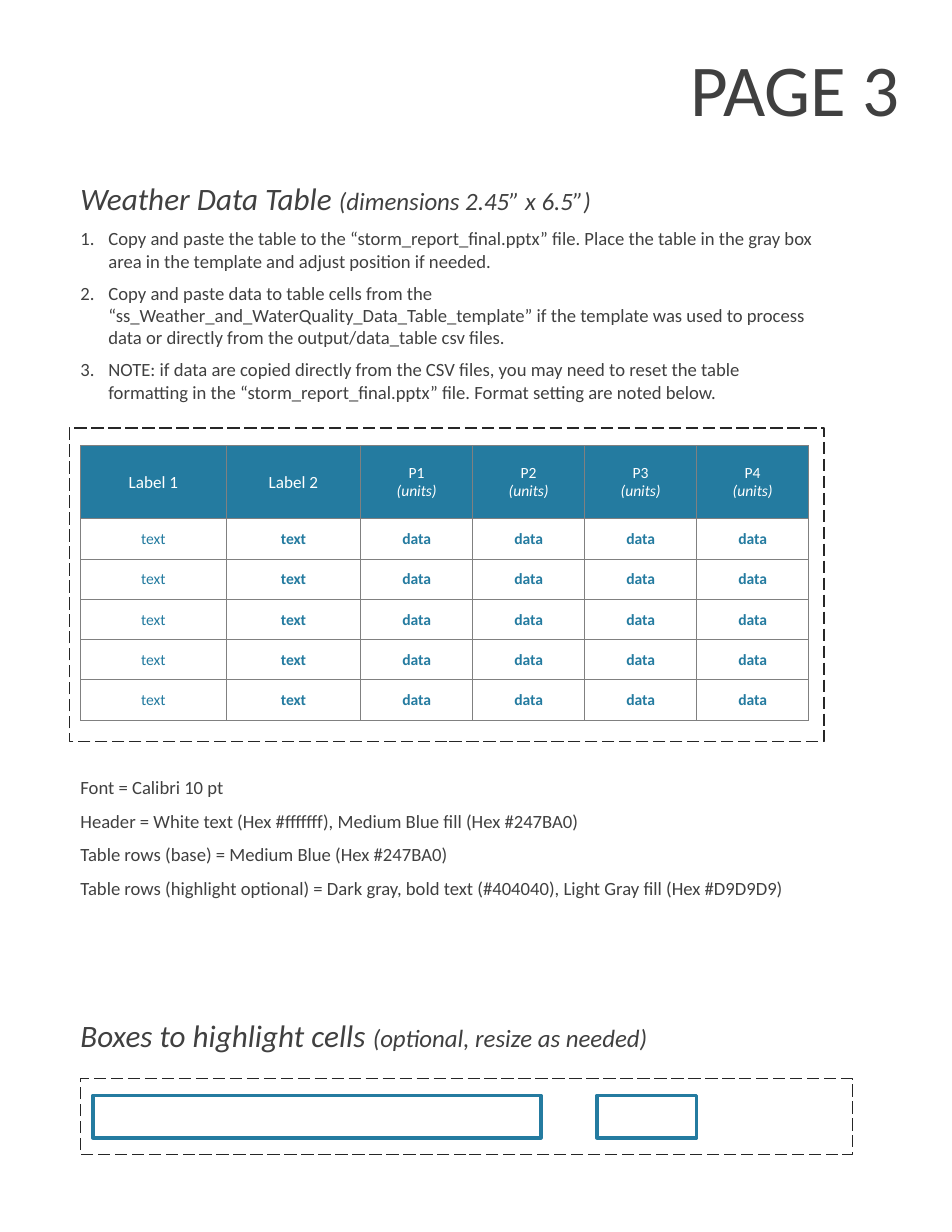
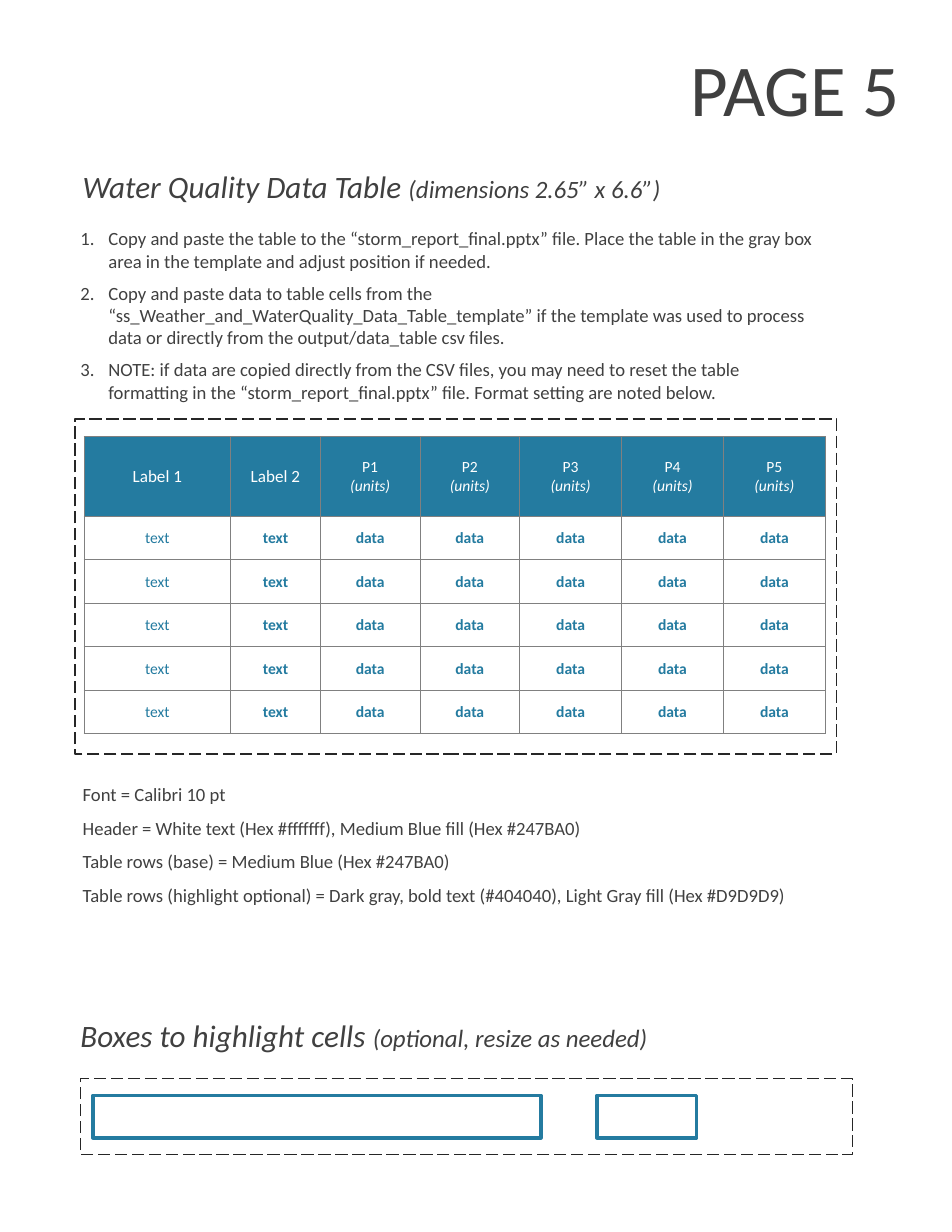
from lxml import etree
from pptx import Presentation
from pptx.dml.color import RGBColor
from pptx.enum.dml import MSO_LINE as Dash
from pptx.enum.shapes import MSO_SHAPE as Shape
from pptx.enum.text import MSO_ANCHOR as Anchor, MSO_AUTO_SIZE as Fit, PP_ALIGN as Align
from pptx.oxml.ns import qn
from pptx.util import Inches, Pt

FONT = "Calibri"
GRAY = RGBColor(0x40, 0x40, 0x40)
DARK = RGBColor(0x26, 0x26, 0x26)
BLUE = RGBColor(0x24, 0x7B, 0xA0)
WHITE = RGBColor(0xFF, 0xFF, 0xFF)
GRID = "808080"

# Content shared by both pages
STEPS = [
    "Copy and paste the table to the “storm_report_final.pptx” file. Place the table in "
    "the gray box area in the template and adjust position if needed.",
    "Copy and paste data to table cells from the "
    "“ss_Weather_and_WaterQuality_Data_Table_template” if the template was used to process "
    "data or directly from the output/data_table csv files. ",
    "NOTE: if data are copied directly from the CSV files, you may need to reset the table "
    "formatting in the “storm_report_final.pptx” file. Format setting are noted below.",
]
NOTES = [
    "Font = Calibri 10 pt",
    "Header = White text (Hex #fffffff), Medium Blue fill (Hex #247BA0)",
    "Table rows (base) = Medium Blue (Hex #247BA0)",
    "Table rows (highlight optional) = Dark gray, bold text (#404040), "
    "Light Gray fill (Hex #D9D9D9)",
]
BOXES = ("Boxes to highlight cells ", "(optional, resize as needed)")
ROWS = 5

# Content of each page; boxes are left, top, width, height
PAGES = [
    dict(page="PAGE 3 ", title=("Weather Data Table ", "(dimensions 2.45” x 6.5”)"),
         head=(0.62, 1.55, 5.38, 0.44), table=(0.72, 3.98, 6.5, 2.45),
         cols=[1.3, 1.2, 1, 1, 1, 1], top=0.65,
         frame=(0.62, 3.82, 6.74, 2.8), notes=(0.62, 6.78, 6.83, 1.62)),
    dict(page="PAGE 5", title=("Water Quality Data Table ", "(dimensions 2.65” x 6.6”)"),
         head=(0.64, 1.45, 6.18, 0.44), table=(0.75, 3.9, 6.6, 2.65),
         cols=[1.31, 0.8, 0.89, 0.89, 0.91, 0.91, 0.91], top=0.71,
         frame=(0.67, 3.74, 6.8, 2.99), notes=(0.64, 6.84, 6.83, 1.62)),
]


def write(frame, paras, size=12, color=GRAY, bold=False, italic=False,
          align=None, after=None, lines=None, number=False):
    """Fill a text frame; a paragraph is a string or a list of (text, format)."""
    frame.word_wrap = True
    for i, runs in enumerate(paras):
        para = frame.paragraphs[0] if i == 0 else frame.add_paragraph()
        para.alignment = align
        para.line_spacing = lines
        if after is not None:
            para.space_after = Pt(after)
        if number:
            props = para._p.get_or_add_pPr()
            props.set("marL", str(Inches(0.25)))
            props.set("indent", str(-Inches(0.25)))
            etree.SubElement(props, qn("a:buFont"), typeface="+mj-lt")
            etree.SubElement(props, qn("a:buAutoNum"), type="arabicPeriod")
        for text, form in [(runs, {})] if isinstance(runs, str) else runs:
            run = para.add_run()
            run.text = text
            font = run.font
            font.name = FONT
            font.size = Pt(form.get("size", size))
            font.bold = bold
            font.italic = form.get("italic", italic)
            font.color.rgb = color


def label(slide, box, paras, **form):
    frame = slide.shapes.add_textbox(*map(Inches, box)).text_frame
    write(frame, paras, **form)
    frame.auto_size = Fit.SHAPE_TO_FIT_TEXT


def heading(slide, box, parts):
    main, side = parts
    label(slide, box, [[(main, {}), (side, {"size": 16})]], size=20, italic=True)


def outline(slide, box, color, width, dash=None):
    rect = slide.shapes.add_shape(Shape.RECTANGLE, *map(Inches, box))
    rect.shadow.inherit = False
    rect.fill.background()
    rect.line.color.rgb = color
    rect.line.width = Pt(width)
    if dash:
        rect.line.dash_style = dash


def style(cell, fill, pads):
    """Set borders, fill and margins of a cell; borders come before the fill."""
    props = cell._tc.get_or_add_tcPr()
    for side in "LRTB":
        line = etree.SubElement(props, qn("a:ln" + side), w=str(Pt(0.5)))
        solid = etree.SubElement(line, qn("a:solidFill"))
        etree.SubElement(solid, qn("a:srgbClr"), val=GRID)
    cell.fill.solid()
    cell.fill.fore_color.rgb = fill
    cell.vertical_anchor = Anchor.MIDDLE
    (cell.margin_left, cell.margin_top,
     cell.margin_right, cell.margin_bottom) = map(Inches, pads)


def grid(slide, box, cols, top):
    table = slide.shapes.add_table(ROWS + 1, len(cols), *map(Inches, box)).table
    table.first_row = table.horz_banding = False
    for col, width in zip(table.columns, cols):
        col.width = Inches(width)
    for r, row in enumerate(table.rows):
        row.height = Inches((box[3] - top) / ROWS if r else top)
        for c, cell in enumerate(row.cells):
            if r:
                style(cell, WHITE, (0.01, 0.01, 0.01, 0))
                write(cell.text_frame, ["text" if c < 2 else "data"],
                      size=10, color=BLUE, bold=c > 0, align=Align.CENTER)
                continue
            style(cell, BLUE, (0.15, 0.07, 0.15, 0.07))
            paras = ([f"Label {c + 1}"] if c < 2 else
                     [f"P{c - 1}", [("(units)", {"italic": True})]])
            write(cell.text_frame, paras, size=11 if c < 2 else 10,
                  color=WHITE, align=Align.CENTER)


deck = Presentation()
deck.slide_width, deck.slide_height = Inches(8.5), Inches(11)

for page in PAGES:
    slide = deck.slides.add_slide(deck.slide_layouts[6])
    # Page title, heading and steps
    label(slide, (6.07, 0.34, 2.25, 0.89), [page["page"]], size=46.9)
    heading(slide, page["head"], page["title"])
    label(slide, (0.62, 1.98, 6.83, 1.68), STEPS, after=6, number=True)
    # Table in its dashed frame, with format notes
    grid(slide, page["table"], page["cols"], page["top"])
    outline(slide, page["frame"], DARK, 1, Dash.LONG_DASH)
    label(slide, page["notes"], NOTES, lines=1.5)
    # Highlight boxes
    heading(slide, (0.62, 9.03, 5.38, 0.44), BOXES)
    outline(slide, (0.72, 9.63, 6.89, 0.68), DARK, 1, Dash.LONG_DASH)
    for left, width in ((0.83, 4), (5.33, 0.89)):
        outline(slide, (left, 9.78, width, 0.38), BLUE, 2.25)

deck.save("out.pptx")
